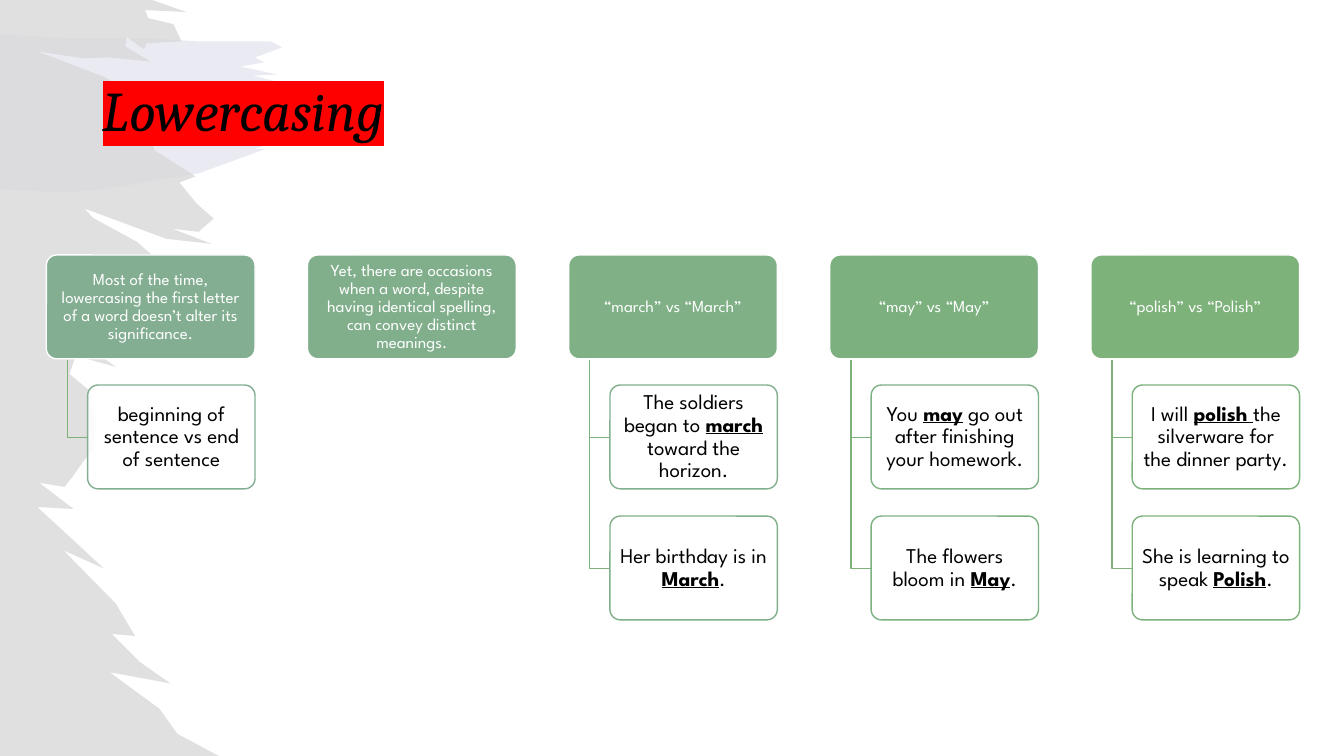
from dataclasses import dataclass
from lxml.etree import SubElement
from pptx import Presentation
from pptx.dml.color import RGBColor
from pptx.enum.shapes import MSO_SHAPE
from pptx.enum.text import MSO_ANCHOR, MSO_AUTO_SIZE, PP_ALIGN
from pptx.oxml.ns import qn
from pptx.util import Pt

PX = 9144


@dataclass(frozen=True)
class Theme:
    serif: str = "Cambria"
    sans: str = "League Spartan"
    black: str = "000000"
    white: str = "FFFFFF"
    red: str = "FF0000"
    lilac: str = "9796C6"
    grey: str = "D9D9D9"
    green: str = "7DB27A"
    title: int = 40
    head: int = 12
    body: int = 15
    stroke: int = 1


THEME = Theme()

COLUMNS = (
    ("83AE92", "Most of the time, lowercasing the first letter of a word doesn’t alter its significance.",
     [("83AE92", ("beginning of sentence vs end of sentence",))]),
    ("81AF8C", "Yet, there are occasions when a word, despite having identical spelling, "
     "can convey distinct meanings.", []),
    ("7FB086", "“march” vs “March”",
     [("82AF8E", ("The soldiers began to ", "march", " toward the horizon.")),
      ("80AF8A", ("Her birthday is in ", "March", "."))]),
    ("7CB17F", "“may” vs “May”",
     [("7FB086", ("You ", "may", " go out after finishing your homework.")),
      ("7DB181", ("The flowers bloom in ", "May", "."))]),
    ("7DB27A", "“polish” vs “Polish”",
     [("7CB17C", ("I will ", "polish ", "the silverware for the dinner party.")),
      ("7DB27A", ("She is learning to speak ", "Polish", "."))]),
)

WASH = (
    (0, 34), (66, 38), (151, 38), (194, 41), (268, 41), (280, 47), (253, 57),
    (262, 62), (238, 66), (275, 74), (251, 75), (290, 85), (263, 88), (330, 94),
    (318, 106), (280, 120), (274, 128), (308, 128), (252, 148), (263, 148),
    (197, 172), (102, 188), (65, 191), (0, 188),
)

BRUSH = (
    (0, 0), (151, 0), (185, 12), (144, 10), (147, 18), (172, 24), (180, 41),
    (145, 43), (143, 49), (126, 37), (124, 46), (149, 61), (107, 57), (83, 58),
    (37, 51), (105, 77), (139, 100), (127, 104), (166, 133), (150, 135),
    (153, 149), (194, 175), (178, 181), (195, 202), (212, 217), (197, 230),
    (171, 227), (210, 242), (165, 237), (84, 207), (92, 216), (136, 240),
    (162, 263), (193, 275), (164, 276), (155, 284), (110, 279), (102, 296),
    (88, 316), (55, 322), (115, 364), (75, 353), (69, 371), (88, 387),
    (95, 419), (92, 447), (84, 456), (72, 473), (64, 483), (39, 479),
    (73, 505), (37, 503), (62, 526), (103, 564), (63, 546), (115, 599),
    (134, 631), (111, 629), (139, 657), (169, 678), (109, 667), (136, 687),
    (158, 703), (176, 728), (217, 750), (0, 750),
)


def rgb(code):
    return RGBColor.from_string(code)


def tint(shape, color, alpha=100):
    shape.shadow.inherit = False
    shape.fill.solid()
    shape.fill.fore_color.rgb = rgb(color)
    if alpha < 100:
        node = shape.element.spPr.find(qn("a:solidFill"))[0]
        SubElement(node, qn("a:alpha"), val=str(alpha * 1000))


def edge(shape, color):
    shape.line.color.rgb = rgb(color)
    shape.line.width = Pt(THEME.stroke)


def draw(slide, points, close):
    pen = slide.shapes.build_freeform(*points[0], scale=PX)
    pen.add_line_segments(points[1:], close=close)
    shape = pen.convert_to_shape()
    shape.shadow.inherit = False
    return shape


def add_blob(slide, points, color, alpha):
    blob = draw(slide, points, True)
    tint(blob, color, alpha)
    blob.line.fill.background()


def add_elbow(slide, left, top, base):
    elbow = draw(slide, [(left, top), (left, base), (left + 20, base)], False)
    elbow.fill.background()
    edge(elbow, THEME.green)


def add_title(slide, text):
    title = slide.shapes.title
    title.element.getparent().append(title.element)
    title.left, title.top, title.width, title.height = (n * PX for n in (92, 40, 1150, 145))
    frame = title.text_frame
    frame.text = text
    frame.auto_size = MSO_AUTO_SIZE.NONE
    frame.vertical_anchor = MSO_ANCHOR.MIDDLE
    para = frame.paragraphs[0]
    para.alignment = PP_ALIGN.LEFT
    para.line_spacing = 0.9
    run = para.runs[0]
    run.font.size = Pt(THEME.title)
    run.font.italic = True
    run.font.color.rgb = rgb(THEME.black)
    marker = SubElement(run._r.get_or_add_rPr(), qn("a:highlight"))
    SubElement(marker, qn("a:srgbClr"), val=THEME.red)
    run.font.name = THEME.serif


def add_card(slide, left, top, width, parts, size, ink):
    card = slide.shapes.add_shape(MSO_SHAPE.ROUNDED_RECTANGLE,
                                  *(n * PX for n in (left, top, width, 103)))
    card.adjustments[0] = 0.1
    frame = card.text_frame
    frame.word_wrap = True
    frame.vertical_anchor = MSO_ANCHOR.MIDDLE
    frame.margin_left = frame.margin_right = 6 * PX
    frame.margin_top = frame.margin_bottom = 5 * PX
    para = frame.paragraphs[0]
    para.alignment = PP_ALIGN.CENTER
    para.line_spacing = 0.9
    for i, part in enumerate(parts):
        run = para.add_run()
        run.text = part
        run.font.name = THEME.sans
        run.font.size = Pt(size)
        run.font.color.rgb = rgb(ink)
        run.font.bold = run.font.underline = i == 1
    return card


def add_column(slide, left, color, head, notes):
    card = add_card(slide, left, 253, 207, (head,), THEME.head, THEME.white)
    tint(card, color)
    edge(card, THEME.white)
    for row, (rim, parts) in enumerate(notes):
        top = 382 + row * 130
        add_elbow(slide, left + 21, 357, top + 52)
        card = add_card(slide, left + 41, top, 166, parts, THEME.body, THEME.black)
        tint(card, THEME.white, 90)
        edge(card, rim)


def main():
    deck = Presentation()
    deck.slide_width, deck.slide_height = 1333 * PX, 750 * PX
    slide = deck.slides.add_slide(deck.slide_layouts[5])
    add_blob(slide, WASH, THEME.lilac, 20)
    add_blob(slide, BRUSH, THEME.grey, 80)
    add_title(slide, "Lowercasing")
    for i, (color, head, notes) in enumerate(COLUMNS):
        add_column(slide, 46 + i * 259, color, head, notes)
    deck.save("out.pptx")


if __name__ == "__main__":
    main()
